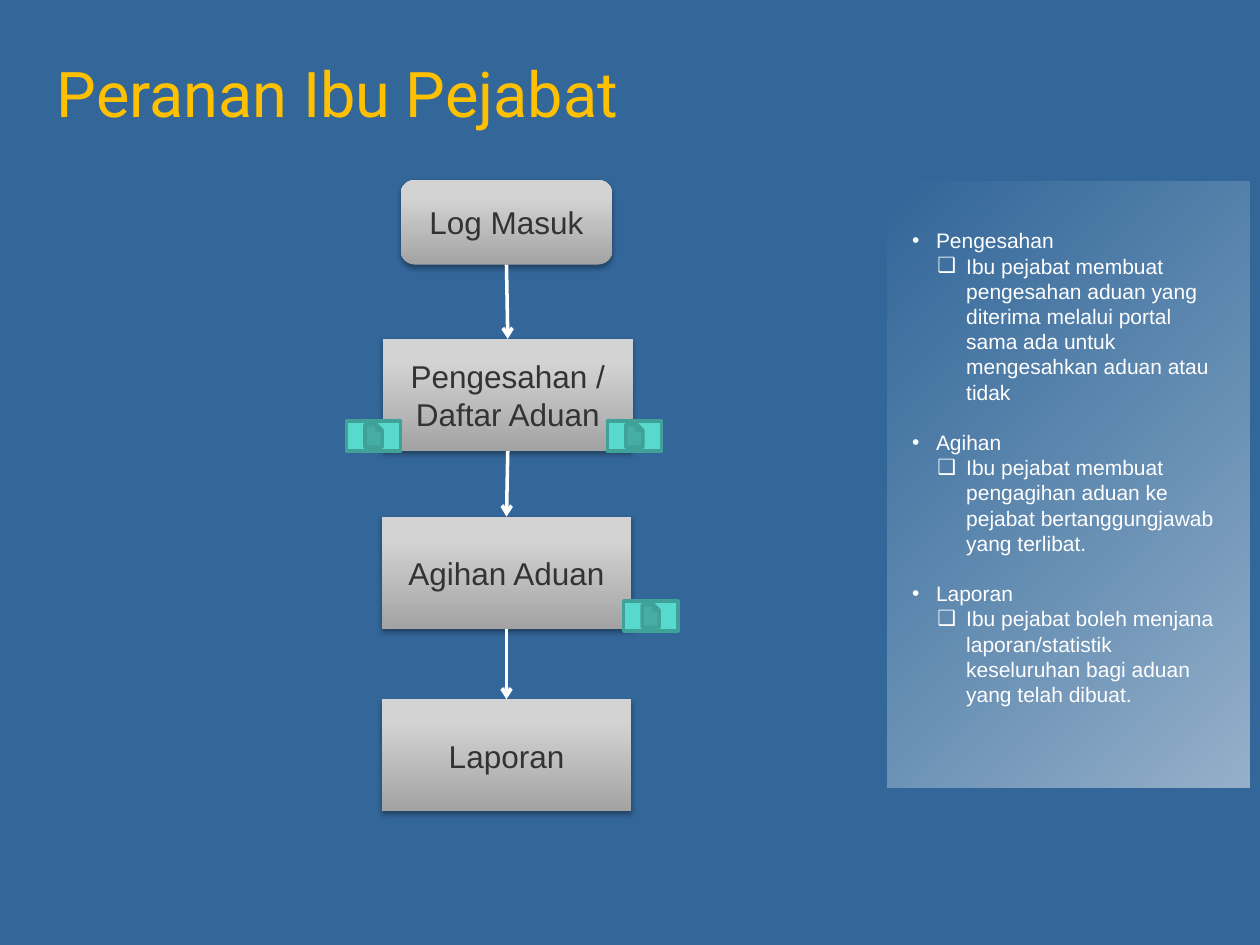
from pptx import Presentation
from pptx.dml.color import RGBColor
from pptx.enum.shapes import MSO_CONNECTOR as Link, MSO_SHAPE as Kind
from pptx.enum.text import MSO_ANCHOR as Anchor, PP_ALIGN as Align
from pptx.oxml import parse_xml
from pptx.oxml.ns import nsdecls
from pptx.util import Inches, Pt

BLUE = RGBColor(0x33, 0x66, 0x99)
GOLD = RGBColor(0xFF, 0xC0, 0x00)
WHITE = RGBColor(0xFF, 0xFF, 0xFF)
DARK = RGBColor(0x33, 0x33, 0x33)
MINT = RGBColor(0x57, 0xD9, 0xCE)
TEAL = RGBColor(0x40, 0xA1, 0x98)
PALE = RGBColor(0xDD, 0xF7, 0xF5)
GREY = RGBColor(0xA3, 0xA3, 0xA3)
LIGHT = RGBColor(0xD3, 0xD3, 0xD3)

UPWARD = '<a:lin ang="16200000" scaled="0"/>'
RADIAL = '<a:path path="circle"><a:fillToRect r="100000" b="100000"/></a:path>'

STEPS = [
    ("Log Masuk", Kind.FLOWCHART_ALTERNATE_PROCESS, (3.18, 1.43, 1.68, 0.67)),
    ("Pengesahan / Daftar Aduan", Kind.FLOWCHART_PROCESS, (3.04, 2.69, 1.98, 0.89)),
    ("Agihan Aduan", Kind.FLOWCHART_PROCESS, (3.03, 4.1, 1.98, 0.89)),
    ("Laporan", Kind.FLOWCHART_PROCESS, (3.03, 5.55, 1.98, 0.89)),
]
BUTTONS = [(4.82, 3.34), (2.75, 3.34), (4.95, 4.77)]
NOTES = [
    ("Pengesahan", "Ibu pejabat membuat pengesahan aduan yang diterima melalui "
                   "portal sama ada untuk mengesahkan aduan atau tidak"),
    ("Agihan", "Ibu pejabat membuat pengagihan aduan ke pejabat "
               "bertanggungjawab yang terlibat."),
    ("Laporan", "Ibu pejabat boleh menjana laporan/statistik keseluruhan bagi "
                "aduan yang telah dibuat."),
]


def xml(tag):
    """Parse one DrawingML element given as text."""
    cut = min(i for i in (tag.find(" "), tag.find(">"), tag.find("/>")) if i > 0)
    return parse_xml(tag[:cut] + " " + nsdecls("a") + tag[cut:])


def blend(shape, stops, way):
    """Fill with a gradient; stops are (percent, colour, opacity percent)."""
    marks = "".join(
        f'<a:gs pos="{pos * 1000}"><a:srgbClr val="{color}">'
        f'<a:alpha val="{alpha * 1000}"/></a:srgbClr></a:gs>'
        for pos, color, alpha in stops)
    shape._element.spPr.append(
        xml(f'<a:gradFill rotWithShape="1"><a:gsLst>{marks}</a:gsLst>{way}</a:gradFill>'))


class Board:
    font = "Arial"

    def __init__(self, slide):
        self.slide = slide
        slide.background.fill.solid()
        slide.background.fill.fore_color.rgb = BLUE

    def style(self, para, size, color, font=font):
        for run in para.runs:
            run.font.size, run.font.name = Pt(size), font
            run.font.color.rgb = color

    def title(self, text, box):
        head = self.slide.shapes.title
        head.left, head.top, head.width, head.height = map(Inches, box)
        frame = head.text_frame
        frame.text = text
        frame.vertical_anchor = Anchor.MIDDLE
        frame.margin_left = frame.margin_right = Inches(0.13)
        frame.margin_top = frame.margin_bottom = Inches(0.07)
        frame.paragraphs[0].alignment = Align.LEFT
        self.style(frame.paragraphs[0], 36, GOLD, "Roboto")

    def shape(self, kind, box):
        item = self.slide.shapes.add_shape(kind, *map(Inches, box))
        item.shadow.inherit = False
        return item

    def panel(self, box):
        item = self.shape(Kind.FLOWCHART_PROCESS, box)
        blend(item, [(0, PALE, 0), (100, WHITE, 49)], RADIAL)
        item.line.fill.background()

    def step(self, text, kind, box):
        item = self.slide.shapes.add_shape(kind, *map(Inches, box))
        blend(item, [(0, GREY, 100), (80, LIGHT, 100), (100, LIGHT, 100)], UPWARD)
        item.line.fill.background()
        item._element.spPr.append(xml(
            f'<a:effectLst><a:outerShdw blurRad="{Pt(3.1)}" dist="{Pt(1.8)}" '
            'dir="5400000" rotWithShape="0"><a:srgbClr val="000000">'
            '<a:alpha val="35000"/></a:srgbClr></a:outerShdw></a:effectLst>'))
        frame = item.text_frame
        frame.text = text
        frame.word_wrap = True
        frame.vertical_anchor = Anchor.MIDDLE
        frame.paragraphs[0].alignment = Align.CENTER
        self.style(frame.paragraphs[0], 18, DARK)
        return item

    def arrow(self, start, end):
        line = self.slide.shapes.add_connector(Link.STRAIGHT, 0, 0, 0, 0)
        line.begin_connect(start, 2)
        line.end_connect(end, 0)
        line.line.color.rgb = WHITE
        line.line.width = Pt(2)
        line.line._get_or_add_ln().append(xml('<a:tailEnd type="arrow"/>'))
        line._element.spPr.append(xml("<a:effectLst/>"))

    def button(self, left, top):
        item = self.shape(Kind.ACTION_BUTTON_DOCUMENT, (left, top, 0.43, 0.24))
        item.fill.solid()
        item.fill.fore_color.rgb = MINT
        item.line.color.rgb = TEAL
        item.line.width = Pt(2)

    def bullet(self, para, mark, left, hang):
        props = para._p.get_or_add_pPr()
        props.set("marL", str(Inches(left)))
        props.set("indent", str(-Inches(hang)))
        props.append(xml(f'<a:buFont typeface="{self.font}"/>'))
        props.append(xml(f'<a:buChar char="{mark}"/>'))

    def notes(self, pairs, box):
        frame = self.slide.shapes.add_textbox(*map(Inches, box)).text_frame
        frame.word_wrap = True
        frame.text = "\n".join(text for pair in pairs for text in pair)
        for i, para in enumerate(frame.paragraphs):
            para.line_spacing = Pt(14.4)
            if i % 2:
                para.level = 1
                self.bullet(para, "❑", 0.43, 0.23)
            else:
                para.space_before = Pt(14.4 if i else 0)
                self.bullet(para, "•", 0.19, 0.19)
            self.style(para, 12, WHITE)


def main():
    deck = Presentation()
    deck.slide_width, deck.slide_height = Inches(10), Inches(7.5)
    board = Board(deck.slides.add_slide(deck.slide_layouts[5]))
    board.title("Peranan Ibu Pejabat", (0.32, 0.34, 9, 0.78))
    board.panel((7.04, 1.44, 2.88, 4.81))
    board.notes(NOTES, (7.14, 1.76, 2.68, 4.27))
    steps = [board.step(*step) for step in STEPS]
    for start, end in zip(steps, steps[1:]):
        board.arrow(start, end)
    for spot in BUTTONS:
        board.button(*spot)
    deck.save("out.pptx")


if __name__ == "__main__":
    main()
